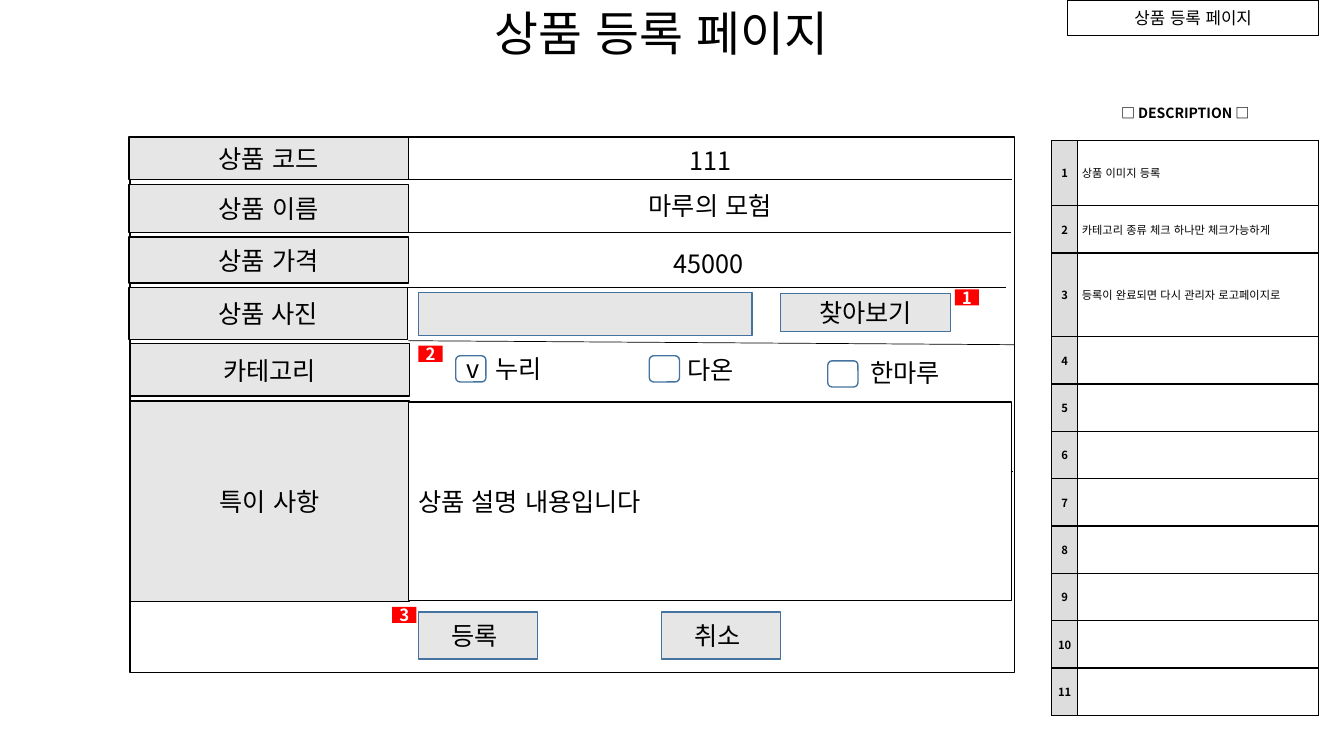
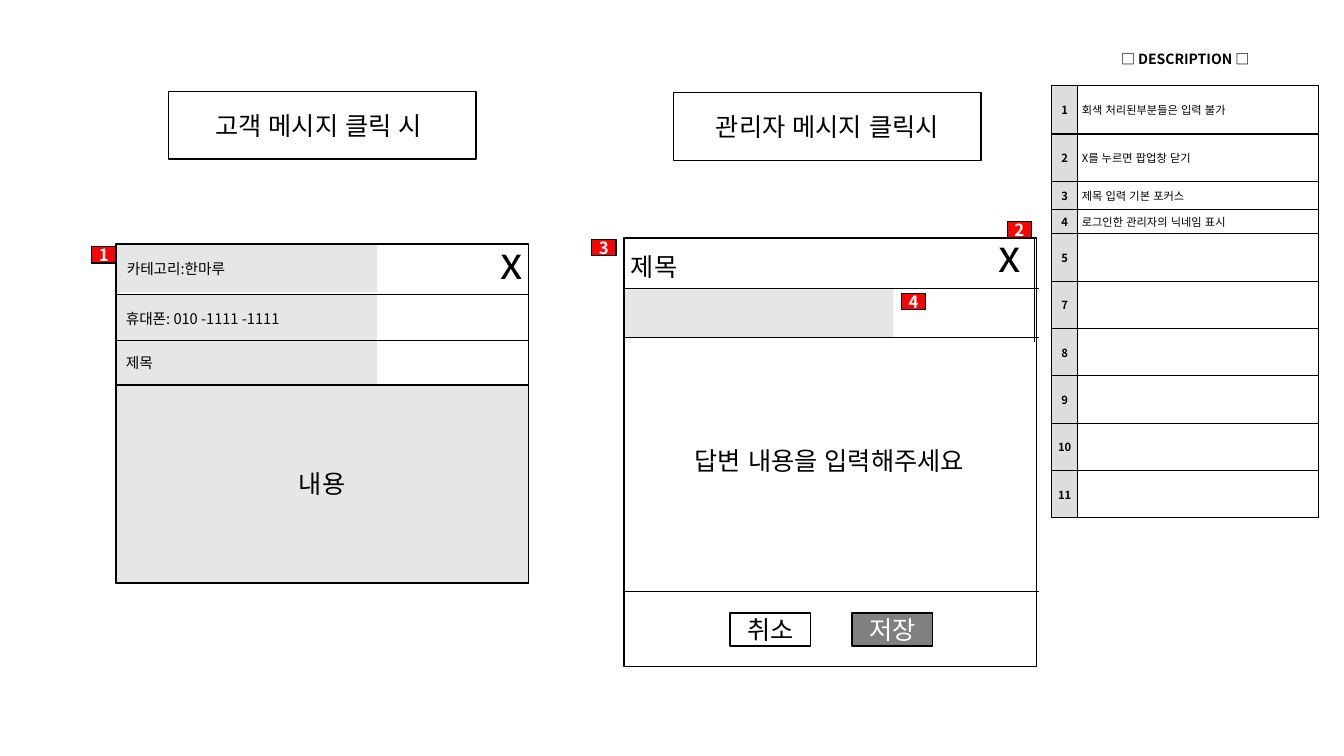
"""Build two wireframe slides: a product form and two message pop-ups."""
from dataclasses import dataclass
from lxml import etree
from pptx import Presentation
from pptx.dml.color import RGBColor
from pptx.enum.lang import MSO_LANGUAGE_ID
from pptx.enum.shapes import MSO_CONNECTOR, MSO_SHAPE
from pptx.enum.text import MSO_ANCHOR, MSO_AUTO_SIZE, PP_ALIGN
from pptx.oxml.ns import qn
from pptx.util import Inches, Pt

RECT, ROUND = MSO_SHAPE.RECTANGLE, MSO_SHAPE.ROUNDED_RECTANGLE
STRAIGHT = MSO_CONNECTOR.STRAIGHT
LEFT, CENTER = PP_ALIGN.LEFT, PP_ALIGN.CENTER
MIDDLE, NO_FIT = MSO_ANCHOR.MIDDLE, MSO_AUTO_SIZE.NONE
KOREAN = MSO_LANGUAGE_ID.KOREAN


@dataclass(frozen=True)
class Theme:
    font: str = "Noto Sans CJK KR"
    black: str = "000000"
    white: str = "FFFFFF"
    grey: str = "E7E6E6"
    dark: str = "808080"
    index: str = "DDDDDD"
    red: str = "FF0000"
    blue: str = "43739E"
    title: float = 34.1
    close: float = 32
    body: float = 18
    tag: float = 12
    field: float = 10.5
    heading: float = 10
    note: float = 8


T = Theme()

PAGE = "상품 등록 페이지"
HEADING = "□ DESCRIPTION □"
FORM_FRAME = (1.29, 1.36, 8.77, 5.31)
FORM_LABELS = [
    ("상품 코드", (1.28, 1.36, 2.77, 0.42)),
    ("상품 이름", (1.28, 1.83, 2.77, 0.48)),
    ("상품 가격", (1.28, 2.35, 2.77, 0.46)),
    ("상품 사진", (1.28, 2.85, 2.76, 0.52)),
    ("카테고리", (1.29, 3.41, 2.77, 0.52)),
    ("특이 사항", (1.29, 3.98, 2.77, 1.99)),
]
FORM_VALUES = [
    ("111", (4.13, 1.4, 5.83, 0.39)),
    ("마루의 모험", (4.13, 1.82, 5.83, 0.44)),
    ("45000", (4.11, 2.41, 5.83, 0.41)),
    ("누리", (4.29, 3.51, 1.7, 0.3)),
    ("다온", (6.2, 3.52, 1.7, 0.3)),
    ("한마루", (8.13, 3.54, 1.7, 0.3)),
]
FORM_BUTTONS = [
    ("", (4.15, 2.9, 3.31, 0.43)),
    ("찾아보기", (7.74, 2.91, 1.69, 0.38)),
    ("등록 ", (4.15, 6.07, 1.18, 0.47)),
    ("취소 ", (6.56, 6.07, 1.18, 0.47)),
]
CHECKS = [("v", 4.52, 3.53), ("", 6.44, 3.53), ("", 8.21, 3.58)]
FORM_RULES = [
    (4.04, 1.78, 10.04, 1.78),
    (4.05, 2.31, 10.03, 2.31),
    (3.98, 2.85, 9.98, 2.85),
    (4.05, 3.38, 10.06, 3.42),
    (4.05, 4.68, 10.05, 4.68),
]
FORM_TAGS = [("1", 9.47, 2.87), ("2", 4.15, 3.43), ("3", 3.89, 6.02)]
FORM_NOTES = [
    ("1", "상품 이미지 등록", 0.65),
    ("2", "카테고리 종류 체크 하나만 체크가능하게", 0.47),
    ("3", "등록이 완료되면 다시 관리자 로고페이지로", 0.83),
] + [(str(n), "", 0.47) for n in range(4, 12)]

POPUP_CAPTIONS = [
    ("고객 메시지 클릭 시 ", (1.67, 0.91, 3.05, 0.67)),
    ("관리자 메시지 클릭시", (6.68, 0.92, 3.05, 0.67)),
]
CUSTOMER_FIELDS = [
    ("휴대폰: 010 -1111 -1111", (1.15, 2.92, 2.59, 0.48)),
    ("제목", (1.15, 3.38, 2.59, 0.44)),
    ("카테고리:한마루", (1.16, 2.42, 2.58, 0.48)),
]
ADMIN_FIELDS = [
    ("제목", (6.16, 2.42, 2.69, 0.44), T.white, LEFT),
    ("", (6.18, 2.87, 2.68, 0.49), T.grey, LEFT),
    ("답변 내용을 입력해주세요", (6.18, 3.35, 4.09, 2.44), T.white, CENTER),
]
ADMIN_BUTTONS = [
    ("취소", (7.24, 6.08, 0.8, 0.33), T.white, T.black),
    ("저장", (8.45, 6.08, 0.8, 0.33), T.dark, T.white),
]
POPUP_FRAMES = [(1.15, 2.42, 4.09, 3.37), (6.19, 2.36, 4.09, 4.25)]
POPUP_CLOSERS = [(4.82, 2.37), (9.76, 2.3)]
POPUP_RULES = [
    (1.15, 2.92, 5.25, 2.92),
    (1.16, 3.38, 5.24, 3.38),
    (10.26, 2.36, 6.18, 2.36),
    (6.18, 2.36, 6.18, 3.39),
    (10.26, 2.36, 10.26, 3.39),
] + [(6.19, y, 10.3, y) for y in (2.86, 3.35, 5.87)]
POPUP_TAGS = [("1", 0.91, 2.45), ("2", 9.99, 2.2), ("3", 5.87, 2.38), ("4", 8.94, 2.91)]
POPUP_NOTES = [
    ("1", "회색 처리된부분들은 입력 불가", 0.48),
    ("2", "X를 누르면 팝업창 닫기", 0.47),
    ("3", "제목 입력 기본 포커스", 0.28),
    ("4", "로그인한 관리자의 닉네임 표시", 0.24),
] + [(str(n), "", 0.47) for n in (5, 7, 8, 9, 10, 11)]


def rgb(value):
    return RGBColor.from_string(value)


def box(at):
    return [Inches(v) for v in at]


def write(tf, text, size=T.body, color=T.black, bold=False, align=CENTER, spacing=None):
    p = tf.paragraphs[0]
    p.alignment = align
    if spacing:
        p.line_spacing = spacing
    r = p.add_run()
    r.text = text
    r.font.size, r.font.bold = Pt(size), bold
    r.font.color.rgb = rgb(color)
    r.font.name, r.font.language_id = T.font, KOREAN
    r.font._element.set("kern", "0")
    etree.SubElement(r.font._element, qn("a:ea"), typeface=T.font)


def shape(s, at, text="", kind=RECT, fill=None, line=None, width=1, wrap=True, **fmt):
    sp = s.shapes.add_shape(kind, *box(at))
    sp.shadow.inherit = False
    if fill:
        sp.fill.solid()
        sp.fill.fore_color.rgb = rgb(fill)
    else:
        sp.fill.background()
    if line:
        sp.line.color.rgb = rgb(line)
        sp.line.width = Pt(width)
    else:
        sp.line.fill.background()
    if text:
        tf = sp.text_frame
        tf.word_wrap, tf.vertical_anchor = wrap, MIDDLE
        write(tf, text, **fmt)


def rules(s, ends):
    for end in ends:
        line = s.shapes.add_connector(STRAIGHT, *box(end))
        line.line.color.rgb = rgb(T.black)
        line.line.width = Pt(0.5)
        etree.SubElement(line._element.spPr, qn("a:effectLst"))


def tags(s, items, line=None):
    for text, x, y in items:
        shape(s, (x, y, 0.24, 0.16), text, fill=T.red, line=line, width=0.75,
              wrap=False, size=T.tag, color=T.white, bold=True)


def borders(cell, visible):
    tcPr = cell._tc.get_or_add_tcPr()
    for i, side in enumerate("LRTB"):
        ln = etree.Element(qn("a:ln" + side), w=str(Pt(1)))
        if side in visible:
            fill = etree.SubElement(ln, qn("a:solidFill"))
            etree.SubElement(fill, qn("a:srgbClr"), val=T.black)
        else:
            etree.SubElement(ln, qn("a:noFill"))
        tcPr.insert(i, ln)


def fill_cell(cell, text, fill, visible="LRTB", **fmt):
    cell.fill.solid()
    cell.fill.fore_color.rgb = rgb(fill)
    cell.vertical_anchor = MIDDLE
    cell.margin_left = cell.margin_right = Inches(0.04)
    cell.margin_top = cell.margin_bottom = Inches(0.04)
    if text:
        write(cell.text_frame, text, **fmt)
    borders(cell, visible)


def description(s, top, notes):
    heights = [0.55] + [height for _, _, height in notes]
    table = s.shapes.add_table(len(heights), 2, *box((10.43, top, 2.65, sum(heights)))).table
    table.first_row = table.horz_banding = False
    for column, width in zip(table.columns, (0.26, 2.39)):
        column.width = Inches(width)
    for row, height in zip(table.rows, heights):
        row.height = Inches(height)
    table.cell(0, 0).merge(table.cell(0, 1))
    fill_cell(table.cell(0, 0), HEADING, T.white, "B", size=T.heading, bold=True)
    fill_cell(table.cell(0, 1), "", T.white, "B")
    for i, (number, note, _) in enumerate(notes, 1):
        fill_cell(table.cell(i, 0), number, T.index, size=T.note, bold=True)
        fill_cell(table.cell(i, 1), note, T.white, size=T.note, align=LEFT)


def form_slide(prs):
    s = prs.slides.add_slide(prs.slide_layouts[5])
    title = s.shapes.title
    title.left, title.top, title.width, title.height = box((1.56, 0.13, 10, 0.52))
    title.text_frame.auto_size, title.text_frame.vertical_anchor = NO_FIT, MIDDLE
    write(title.text_frame, PAGE, size=T.title, spacing=0.7)
    description(s, 0.84, FORM_NOTES)
    shape(s, FORM_FRAME, line=T.black)
    for text, at in FORM_LABELS:
        shape(s, at, text, fill=T.grey, line=T.black)
    for text, at in FORM_VALUES:
        shape(s, at, text, fill=T.white)
    rules(s, FORM_RULES)
    shape(s, (4.05, 3.99, 5.98, 1.97), "상품 설명 내용입니다", fill=T.white, line=T.black, align=LEFT)
    for text, at in FORM_BUTTONS:
        shape(s, at, text, fill=T.grey, line=T.blue)
    for text, x, y in CHECKS:
        shape(s, (x, y, 0.3, 0.26), text, kind=ROUND, fill=T.white, line=T.blue)
    tags(s, FORM_TAGS)
    shape(s, (10.59, 0, 2.49, 0.35), PAGE, line=T.black, size=T.tag)


def popup_slide(prs):
    s = prs.slides.add_slide(prs.slide_layouts[6])
    for text, at in POPUP_CAPTIONS:
        shape(s, at, text, fill=T.white, line=T.black)
    for text, at in CUSTOMER_FIELDS:
        shape(s, at, text, fill=T.grey, size=T.field, align=LEFT)
    shape(s, (1.15, 3.82, 4.09, 1.96), "내용", fill=T.grey, line=T.black)
    for text, at, fill, align in ADMIN_FIELDS:
        shape(s, at, text, fill=fill, align=align)
    for text, at, fill, color in ADMIN_BUTTONS:
        shape(s, at, text, fill=fill, line=T.black, color=color)
    for at in POPUP_FRAMES:
        shape(s, at, line=T.black)
    for x, y in POPUP_CLOSERS:
        tf = s.shapes.add_textbox(*box((x, y, 0.5, 0.46))).text_frame
        tf.word_wrap, tf.vertical_anchor = True, MIDDLE
        write(tf, "x", size=T.close)
    description(s, 0.3, POPUP_NOTES)
    rules(s, POPUP_RULES)
    tags(s, POPUP_TAGS, line=T.black)


prs = Presentation()
prs.slide_width, prs.slide_height = Inches(13.33), Inches(7.5)
form_slide(prs)
popup_slide(prs)
prs.save("out.pptx")
